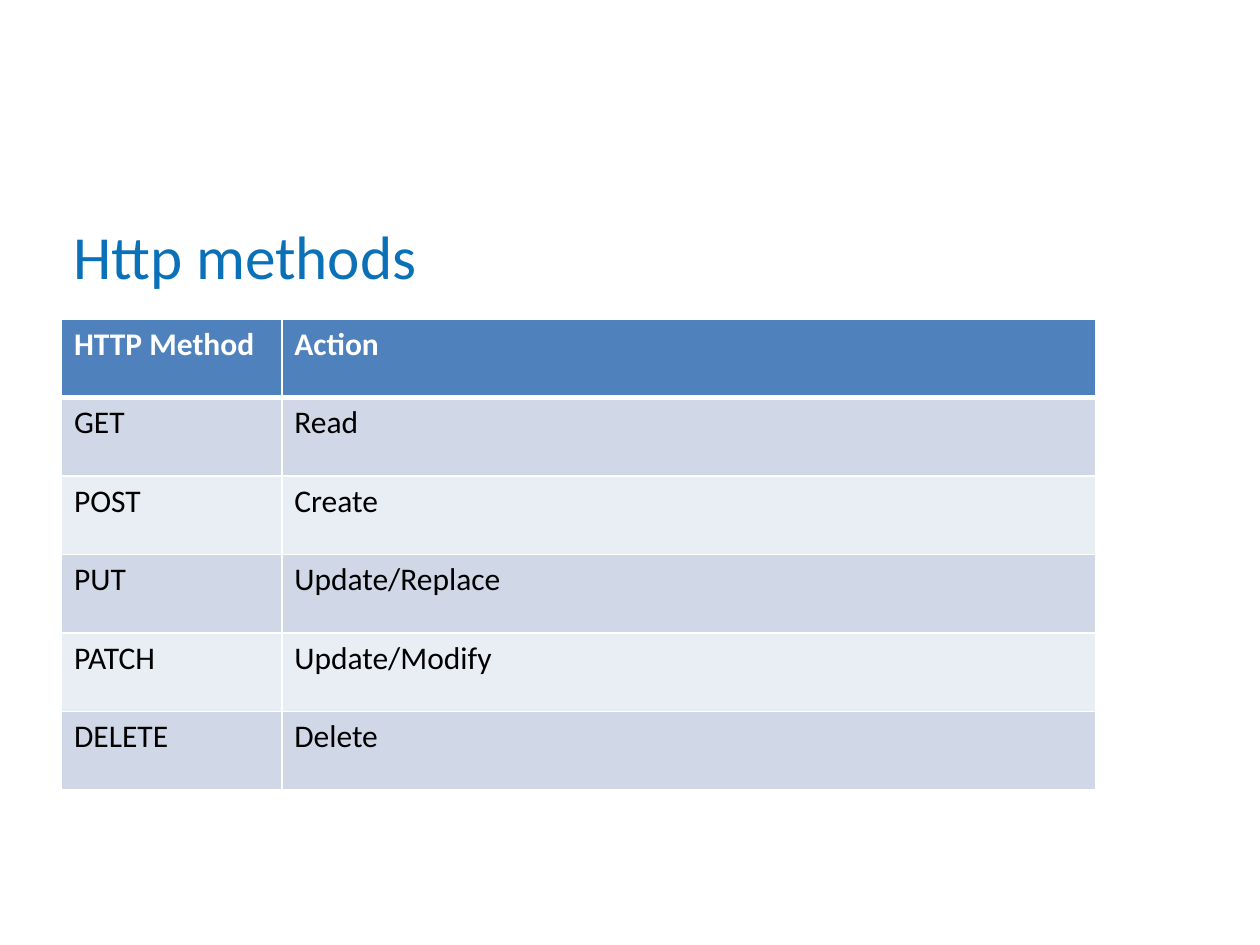
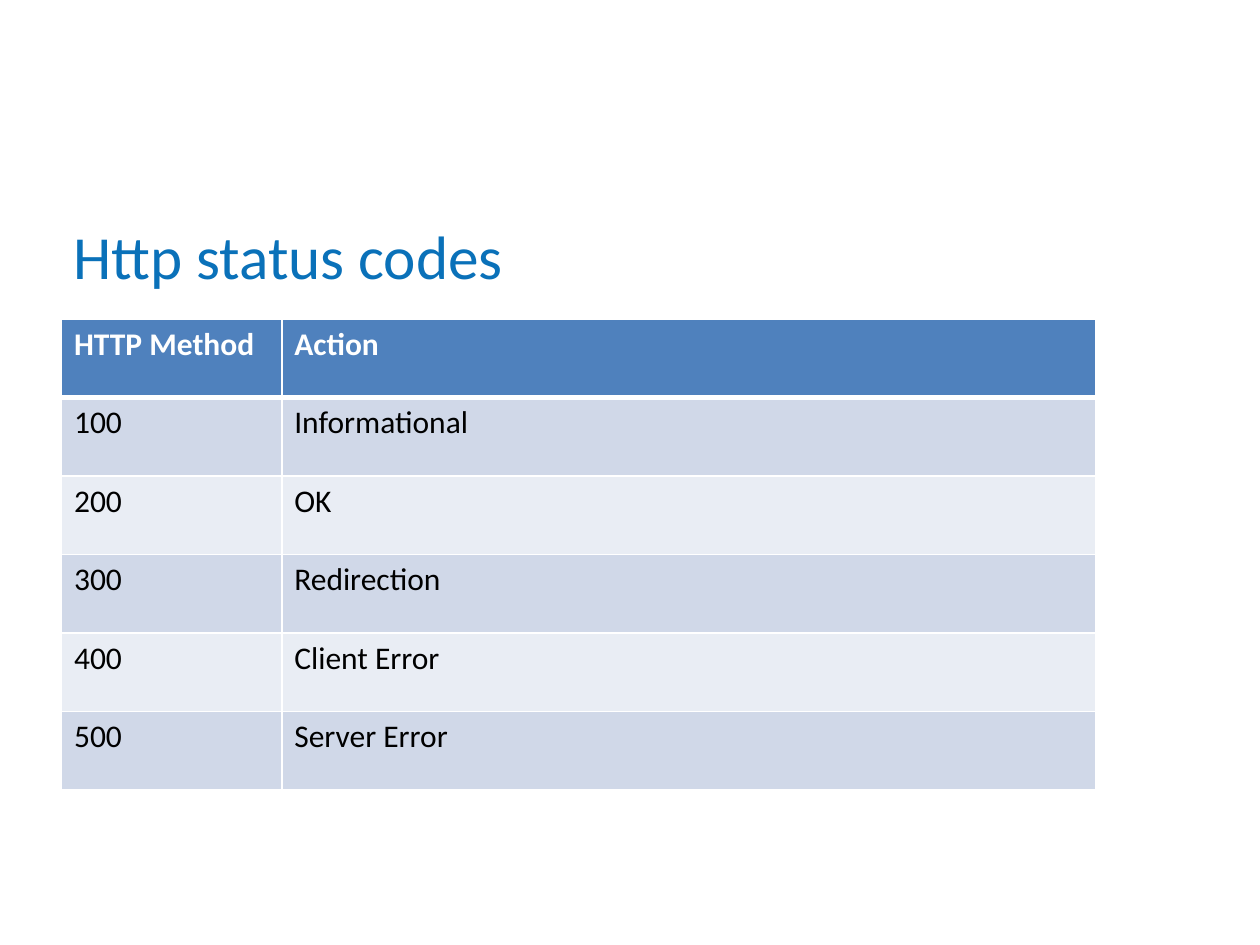
from lxml import etree
from pptx import Presentation
from pptx.dml.color import RGBColor
from pptx.enum.text import MSO_ANCHOR, MSO_AUTO_SIZE, PP_ALIGN
from pptx.oxml.ns import qn
from pptx.util import Cm, Pt

LEFT = PP_ALIGN.LEFT
BOTTOM = MSO_ANCHOR.BOTTOM
NO_AUTOFIT = MSO_AUTO_SIZE.NONE

WHITE = RGBColor(0xFF, 0xFF, 0xFF)
BLACK = RGBColor(0x00, 0x00, 0x00)
TITLE_BLUE = RGBColor(0x0A, 0x71, 0xB9)
HEADER_BLUE = RGBColor(0x4F, 0x81, 0xBD)
DARK_BAND = RGBColor(0xD0, 0xD8, 0xE8)
LIGHT_BAND = RGBColor(0xE9, 0xED, 0xF4)

TITLE_ONLY = 5
TITLE_FORMAT = {"name": "Calibri", "size": Pt(35), "color": TITLE_BLUE}
HEADER_FORMAT = {"name": "Calibri", "size": Pt(18), "bold": True, "color": WHITE}
BODY_FORMAT = {**HEADER_FORMAT, "bold": False, "color": BLACK}

TITLE_PLACE = {"left": Cm(1.22), "top": Cm(2.82), "width": Cm(22.86), "height": Cm(3.18)}
TABLE_LEFT, TABLE_TOP, TABLE_HEIGHT = Cm(1.24), Cm(6.43), Cm(9.5)
COLUMN_WIDTHS = [Cm(4.44), Cm(16.41)]
THIN, THICK = Pt(1), Pt(3)

HEADER = ("HTTP Method", "Action")
METHODS = [
    ("GET", "Read"),
    ("POST", "Create"),
    ("PUT", "Update/Replace"),
    ("PATCH", "Update/Modify"),
    ("DELETE", "Delete"),
]
STATUS_CODES = [
    ("100", "Informational"),
    ("200", "OK"),
    ("300", "Redirection"),
    ("400", "Client Error"),
    ("500", "Server Error"),
]


def write(frame, text, text_format):
    para = frame.paragraphs[0]
    para.alignment = LEFT
    span = para.add_run()
    span.text = text
    for name, value in text_format.items():
        if name == "color":
            span.font.color.rgb = value
        else:
            setattr(span.font, name, value)


def set_borders(cell, widths):
    """Draw white cell edges; widths maps the edges L, R, T and B to lengths."""
    properties = cell._tc.get_or_add_tcPr()
    for edge, width in widths.items():
        line = etree.SubElement(properties, qn(f"a:ln{edge}"), w=str(width))
        fill = etree.SubElement(line, qn("a:solidFill"))
        etree.SubElement(fill, qn("a:srgbClr"), val=str(WHITE))


class DeckBuilder:
    def __init__(self):
        self.deck = Presentation()
        self.deck.slide_width = Cm(25.4)
        self.deck.slide_height = Cm(19.05)
        self.page = None

    def add_page(self, title):
        self.page = self.deck.slides.add_slide(self.deck.slide_layouts[TITLE_ONLY])
        box = self.page.shapes.title
        for name, value in TITLE_PLACE.items():
            setattr(box, name, value)
        frame = box.text_frame
        frame.auto_size = NO_AUTOFIT
        frame.vertical_anchor = BOTTOM
        write(frame, title, TITLE_FORMAT)

    def add_table(self, rows):
        """Add a table with a header row above alternating bands."""
        table = self.page.shapes.add_table(
            len(rows), len(COLUMN_WIDTHS), TABLE_LEFT, TABLE_TOP,
            sum(COLUMN_WIDTHS), TABLE_HEIGHT).table
        for column, width in zip(table.columns, COLUMN_WIDTHS):
            column.width = width
        for index, texts in enumerate(rows):
            band = DARK_BAND if index % 2 else LIGHT_BAND
            edges = {
                "L": THIN,
                "R": THIN,
                "T": THICK if index == 1 else THIN,
                "B": THICK if index == 0 else THIN,
            }
            for column, text in enumerate(texts):
                cell = table.cell(index, column)
                set_borders(cell, edges)
                cell.fill.solid()
                cell.fill.fore_color.rgb = band if index else HEADER_BLUE
                write(cell.text_frame, text, BODY_FORMAT if index else HEADER_FORMAT)


def main():
    builder = DeckBuilder()
    for title, entries in (("Http methods", METHODS), ("Http status codes", STATUS_CODES)):
        builder.add_page(title)
        builder.add_table([HEADER, *entries])
    builder.deck.save("out.pptx")


if __name__ == "__main__":
    main()
